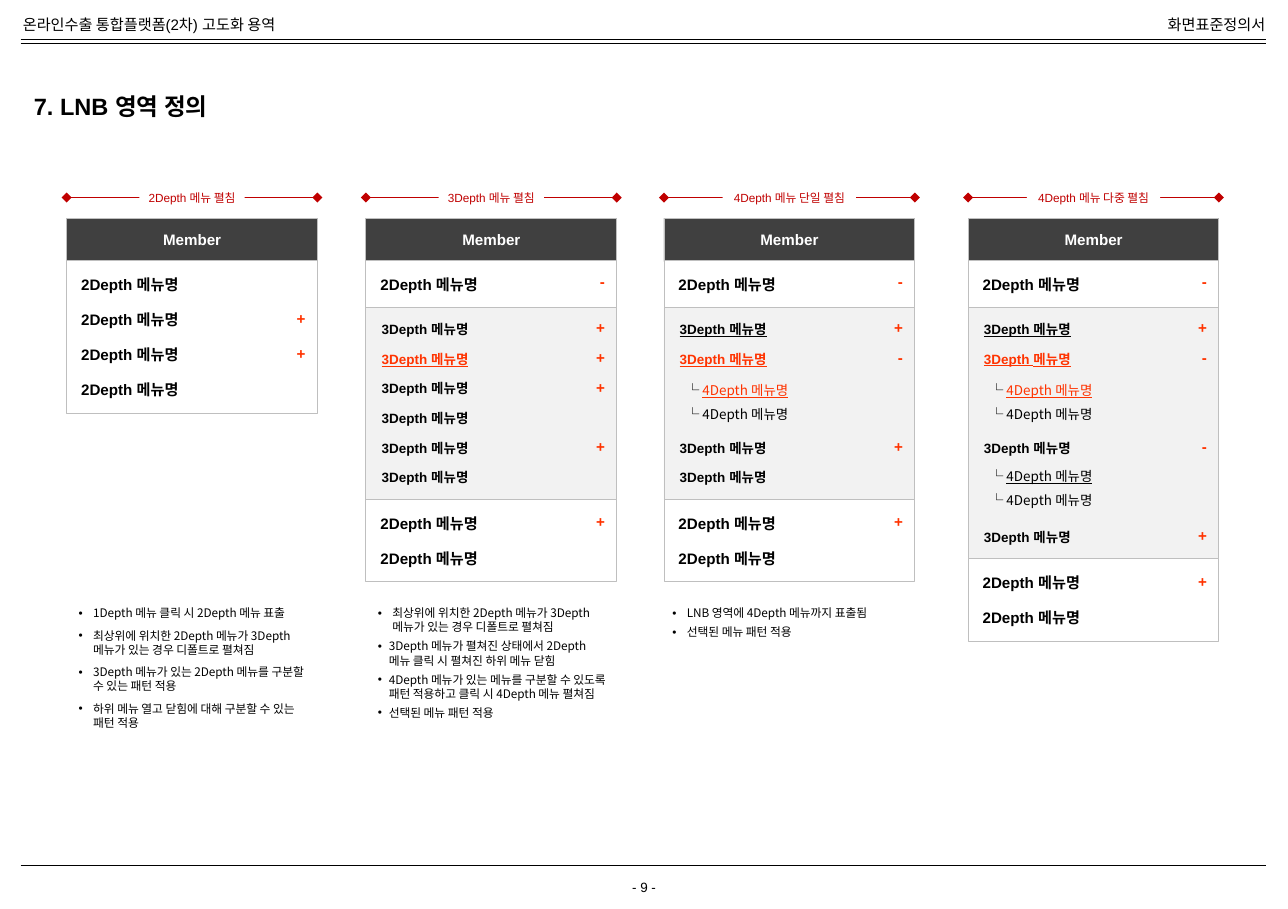
from dataclasses import dataclass
from lxml import etree
from pptx import Presentation, util as u
from pptx.dml.color import RGBColor
from pptx.enum import shapes, text
from pptx.oxml.ns import qn


@dataclass(frozen=True)
class Theme:
    """Colours, fonts and type sizes of the slide."""
    ink: str = "000000"
    paper: str = "FFFFFF"
    dark: str = "404040"
    shade: str = "F2F2F2"
    edge: str = "BFBFBF"
    red: str = "C00000"
    hot: str = "FF3300"
    sans: str = "Arial"
    hangul: str = "Noto Sans CJK KR"
    title: float = 14
    main: float = 9
    sub: float = 8
    note: float = 7
    lead: float = 1.2


T = Theme()
WIDE, HIGH = 10.63, 7.5
COLS = (0.55, 3.02, 5.48, 7.99)
CARD = 2.07                     # card width
TOP, OPEN = 2.15, 2.54          # top of the list, top of the opened level
ROW2, ROW3 = 0.29, 0.245        # row pitch of menu levels 2 and 3
TAIL = 0.68                     # closing block of two level 2 rows
PAD = (0.1, 0.05, 0.1, 0.05)
PAD2 = (0.12, 0.12, 0.04, 0.12)
LEFT, MID, RIGHT = (text.PP_ALIGN.LEFT, text.PP_ALIGN.CENTER, text.PP_ALIGN.RIGHT)
PLAIN = {}
UNDER = {"underline": True}
PICK = {"underline": True, "color": T.hot}
NAME2, NAME3, NAME4 = (f"{n}Depth 메뉴명" for n in (2, 3, 4))


def apply(item, vals):
    """Set each attribute of item from a dict."""
    for key, val in vals.items():
        setattr(item, key, val)


def write(shape, paras, size, color=T.ink, bold=False, face=T.sans,
          align=LEFT, after=0, pad=PAD, mid=False, wrap=True):
    """Fill a shape with paragraphs; each is a list of (words, style, gap)."""
    frame = shape.text_frame
    sides = ("margin_left", "margin_top", "margin_right", "margin_bottom")
    apply(frame, dict(zip(sides, map(u.Inches, pad))))
    anchor = text.MSO_ANCHOR.MIDDLE if mid else text.MSO_ANCHOR.TOP
    apply(frame, {"word_wrap": wrap, "vertical_anchor": anchor})
    for i, runs in enumerate(paras):
        para = frame.paragraphs[0] if i == 0 else frame.add_paragraph()
        gap = runs[-1][2] if len(runs[-1]) > 2 else after
        apply(para, {"alignment": align, "space_after": u.Pt(gap),
                     "line_spacing": u.Pt(size * T.lead)})
        for words, style, *_ in runs:
            run = para.add_run()
            run.text = words
            vals = {"size": u.Pt(size), "bold": bold, "name": face} | style
            run.font.color.rgb = RGBColor.from_string(vals.pop("color", color))
            apply(run.font, vals)
            etree.SubElement(run.font._element, qn("a:ea"), typeface=T.hangul)
    return frame


def label(page, x, y, w, h, paras, size, **form):
    """Add a text box; a string stands for one plain paragraph."""
    if isinstance(paras, str):
        paras = [[(paras, PLAIN)]]
    box = page.shapes.add_textbox(*map(u.Inches, (x, y, w, h)))
    return write(box, paras, size, **form)


def block(page, x, y, w, h, fill, edge=None):
    """Add a flat rectangle."""
    box = page.shapes.add_shape(shapes.MSO_SHAPE.RECTANGLE,
                                *map(u.Inches, (x, y, w, h)))
    box.shadow.inherit = False
    box.fill.solid()
    box.fill.fore_color.rgb = RGBColor.from_string(fill)
    if edge:
        box.line.color.rgb = RGBColor.from_string(edge)
        box.line.width = u.Pt(0.5)
    else:
        box.line.fill.background()
    return box


def rule(page, x, y, end, color=T.ink, width=0.25, tips=False):
    """Add a level line, with diamond tips if wanted."""
    line = page.shapes.add_connector(shapes.MSO_CONNECTOR.STRAIGHT,
                                     *map(u.Inches, (x, y, end, y)))
    line.line.color.rgb = RGBColor.from_string(color)
    line.line.width = u.Pt(width)
    if tips:
        for tag in ("a:headEnd", "a:tailEnd"):
            etree.SubElement(line.line._get_or_add_ln(), qn(tag), type="diamond")
    etree.SubElement(line._element.spPr, qn("a:effectLst"))


def span(page, x, words, wide):
    """Add the measure line with its caption above a card."""
    rule(page, x, 1.63, x + CARD, T.red, 0.75, True)
    box = block(page, x + (CARD - wide) / 2, 1.55, wide, 0.16, T.paper)
    write(box, [[(words, PLAIN)]], T.note, color=T.red, align=MID, mid=True,
          pad=(0.04, 0.02, 0.04, 0.02), wrap=False)


def sign(page, x, y, mark):
    """Add a fold mark at the right edge of a card."""
    if mark:
        label(page, x + 1.77, y, 0.3, 0.25, mark, T.main, color=T.hot,
              bold=True, align=RIGHT)


def card(page, x, high, count):
    """Add the dark head and the white list with its level 2 rows."""
    head = block(page, x, 1.8, CARD, 0.36, T.dark, T.edge)
    write(head, [[("Member", PLAIN)]], T.main, color=T.paper, bold=True,
          align=MID, mid=True)
    body = block(page, x, TOP, CARD, high, T.paper, T.edge)
    write(body, [[(NAME2, PLAIN)]] * count, T.main, bold=True, after=10, pad=PAD2)


def fold(page, x, slots, rows, subs=()):
    """Add a card whose first row is open; rows are (slot, style, mark)."""
    deep = slots * ROW3 + 0.11
    end = OPEN + deep
    card(page, x, end - TOP + TAIL, 1)
    nexts = [row[0] for row in rows[1:]] + [slots]
    pitch = T.sub * T.lead + 8
    paras = [[(NAME3, style, 8 + (then - slot - 1) * pitch)]
             for (slot, style, _), then in zip(rows, nexts)]
    write(block(page, x, OPEN, CARD, deep, T.shade, T.edge), paras, T.sub,
          bold=True, pad=(0.13, 0.11, 0.04, 0.11))
    label(page, x, end, CARD, 0.39, [[(NAME2, PLAIN)]] * 2, T.main,
          bold=True, after=10, pad=PAD2)
    sign(page, x, 2.2, "-")
    sign(page, x, end + 0.06, "+")
    for slot, _, mark in rows:
        sign(page, x, OPEN + 0.04 + slot * ROW3, mark)
    for slot, style in subs:
        label(page, x + 0.14, OPEN + 0.06 + slot * ROW3, 1.24, 0.46,
              [[("└ ", PLAIN), (NAME4, style)], [("└ " + NAME4, PLAIN)]],
              T.sub, face=T.hangul, after=5, pad=(0.04, 0.06, 0.04, 0.06))


def notes(page, x, lines, after, dents):
    """Add the bulleted remarks below a card."""
    frame = label(page, x, 4.95, 2.08, 1.15, [[(line, PLAIN)] for line in lines],
                  T.note, face=T.hangul, after=after)
    for para, dent in zip(frame.paragraphs, dents):
        props = para._p.get_or_add_pPr()
        size = u.Inches(dent)
        for key, val in {"marL": size, "indent": -size}.items():
            props.set(key, str(val))
        etree.SubElement(props, qn("a:buFont"), typeface=T.sans)
        etree.SubElement(props, qn("a:buChar"), char="•")


def frame(page):
    """Add the running head, the foot and the title."""
    for y in (0.32, 0.36, 7.14):
        rule(page, 0.17, y, 10.45)
    label(page, 0.09, 0.08, 2.5, 0.25, "온라인수출 통합플랫폼(2차) 고도화 용역", T.main,
          wrap=False)
    label(page, 9.45, 0.08, 1.09, 0.25, "화면표준정의서", T.main, align=RIGHT, wrap=False)
    label(page, 4.97, 7.2, 0.69, 0.24, "- 9 -", T.sub, align=MID)
    label(page, 0.23, 0.68, 3.63, 0.39, "7. LNB 영역 정의", T.title, bold=True,
          mid=True, pad=(0.05, 0.08, 0.05, 0.08))


def main():
    """Build the slide and save it."""
    deck = Presentation()
    apply(deck, {"slide_width": u.Inches(WIDE), "slide_height": u.Inches(HIGH)})
    page = deck.slides.add_slide(deck.slide_layouts[6])
    frame(page)
    heads = (("2Depth 메뉴 펼침", 0.87), ("3Depth 메뉴 펼침", 0.87),
             ("4Depth 메뉴 단일 펼침", 1.1), ("4Depth 메뉴 다중 펼침", 1.1))
    for x, (words, wide) in zip(COLS, heads):
        span(page, x, words, wide)

    one, two, three, four = COLS
    card(page, one, 1.26, 4)
    for row in (1, 2):
        sign(page, one, 2.21 + row * ROW2, "+")
    styles = (PLAIN, PICK, PLAIN, PLAIN, PLAIN, PLAIN)
    fold(page, two, 6, list(zip(range(6), styles, ("+", "+", "+", "", "+", ""))))
    start = [(0, UNDER, "+"), (1, PICK, "-")]
    fold(page, three, 6, start + [(4, PLAIN, "+"), (5, PLAIN, "")], [(2, PICK)])
    fold(page, four, 8, start + [(4, PLAIN, "-"), (7, PLAIN, "+")],
         [(2, PICK), (4.9, UNDER)])

    first = "최상위에 위치한 2Depth 메뉴가 3Depth 메뉴가 있는 경우 디폴트로 펼쳐짐"
    last = "선택된 메뉴 패턴 적용"
    notes(page, one, ["1Depth 메뉴 클릭 시 2Depth 메뉴 표출", first,
                      "3Depth 메뉴가 있는 2Depth 메뉴를 구분할 수 있는 패턴 적용",
                      "하위 메뉴 열고 닫힘에 대해 구분할 수 있는 패턴 적용"], 5, [0.12] * 4)
    notes(page, two, [first,
                      "3Depth 메뉴가 펼쳐진 상태에서 2Depth 메뉴 클릭 시 펼쳐진 하위 메뉴 닫힘",
                      "4Depth 메뉴가 있는 메뉴를 구분할 수 있도록 패턴 적용하고 클릭 시 "
                      "4Depth 메뉴 펼쳐짐", last], 3, [0.12, 0.09, 0.09, 0.09])
    notes(page, three - 0.03, ["LNB 영역에 4Depth 메뉴까지 표출됨", last], 3, [0.12] * 2)
    deck.save("out.pptx")


main()
